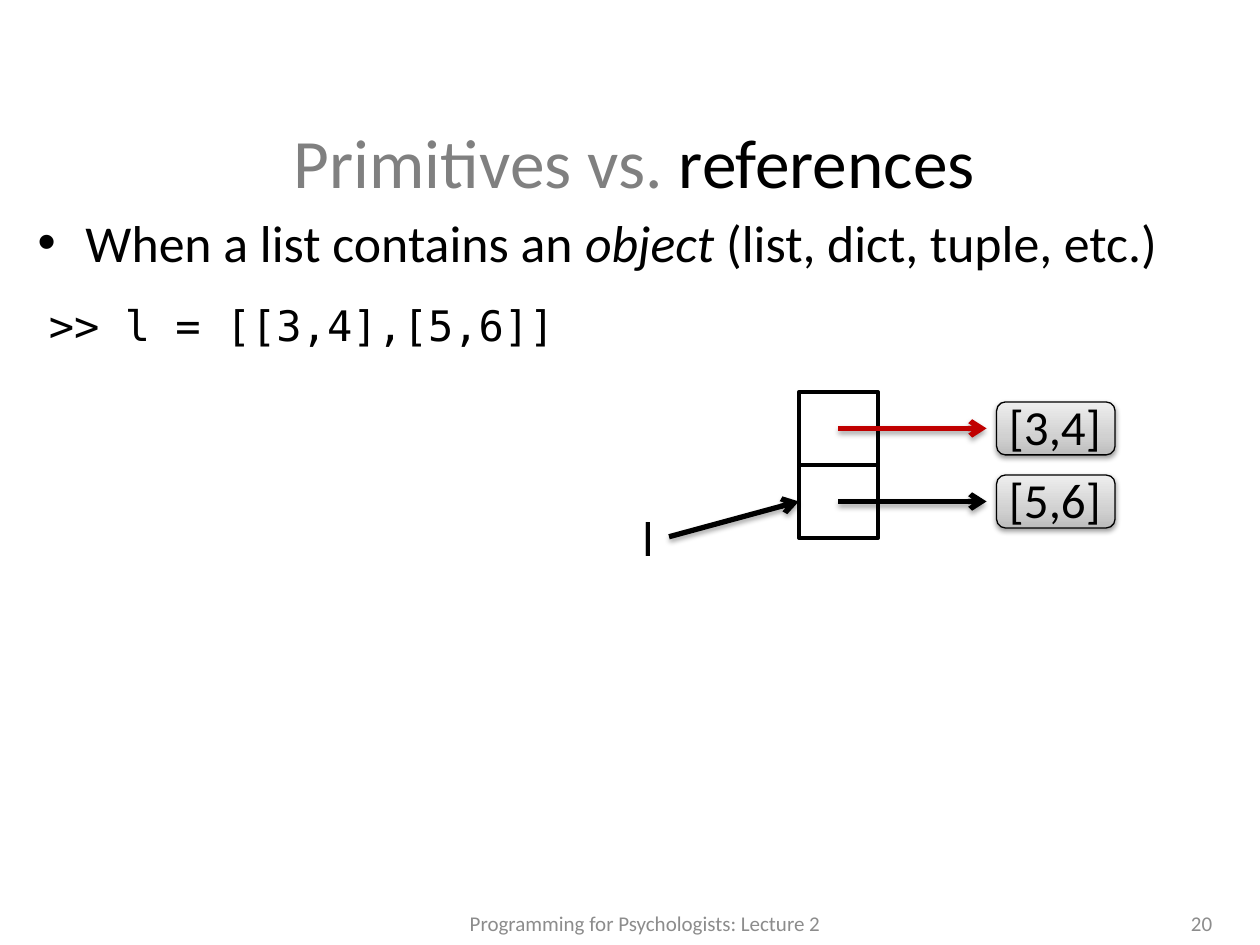
from copy import deepcopy

from lxml.etree import SubElement
from pptx import Presentation
from pptx.dml.color import RGBColor
from pptx.enum.shapes import MSO_CONNECTOR as Connector, MSO_SHAPE as Shape
from pptx.enum.text import MSO_ANCHOR as Anchor, MSO_AUTO_SIZE as AutoSize, PP_ALIGN as Align
from pptx.oxml.ns import qn
from pptx.util import Inches, Pt

COLORS = {
    "black": "000000", "white": "FFFFFF", "gray": "808080", "footer": "8C8C8C",
    "red": "C00000", "dark": "BDBDBD", "middle": "D1D1D1", "light": "EEEEEE",
}


def color(name):
    return RGBColor.from_string(COLORS[name])


class SlideBuilder:
    font = "Calibri"
    code_font = "DejaVu Sans Mono"

    def __init__(self, slide):
        self.slide = slide

    def place(self, shape, box):
        shape.left, shape.top, shape.width, shape.height = map(Inches, box)

    def add_runs(self, paragraph, parts, size, font=None):
        for text, color_name, italic in parts:
            run = paragraph.add_run()
            run.text = text
            run.font.name = font or self.font
            run.font.size = Pt(size)
            run.font.italic = italic
            run.font.color.rgb = color(color_name)

    def title(self, box, parts, size):
        title = self.slide.shapes.title
        self.place(title, box)
        frame = title.text_frame
        frame.auto_size = AutoSize.NONE
        frame.vertical_anchor = Anchor.MIDDLE
        frame.paragraphs[0].alignment = Align.CENTER
        self.add_runs(frame.paragraphs[0], parts, size)

    def text(self, box, parts, size, font=None, align=Align.LEFT, anchor=Anchor.TOP, space=0):
        frame = self.slide.shapes.add_textbox(*map(Inches, box)).text_frame
        frame.word_wrap = True
        frame.vertical_anchor = anchor
        paragraph = frame.paragraphs[0]
        paragraph.alignment = align
        paragraph.space_before = Pt(space)
        self.add_runs(paragraph, parts, size, font)
        return paragraph

    def bullet(self, box, parts, size, indent):
        paragraph = self.text(box, parts, size, space=size * 0.2)
        properties = paragraph._p.get_or_add_pPr()
        properties.set("marL", str(Inches(indent)))
        properties.set("indent", str(-Inches(indent)))
        SubElement(properties, qn("a:buFont"), typeface="Arial")
        SubElement(properties, qn("a:buChar"), char="•")

    def shadow(self, shape, distance, opacity):
        effects = SubElement(shape._element.spPr, qn("a:effectLst"))
        outer = SubElement(effects, qn("a:outerShdw"), blurRad=str(Pt(3.1)),
                           dist=str(Pt(distance)), dir="5400000", rotWithShape="0")
        shade = SubElement(outer, qn("a:srgbClr"), val=COLORS["black"])
        SubElement(shade, qn("a:alpha"), val=str(opacity * 1000))

    def value_box(self, box):
        shape = self.slide.shapes.add_shape(Shape.ROUNDED_RECTANGLE, *map(Inches, box))
        shape.fill.gradient()
        shape.fill.gradient_angle = 90
        first = shape._element.spPr.find(".//" + qn("a:gs"))
        first.addnext(deepcopy(first))
        stops = zip(shape.fill.gradient_stops, (0, 0.35, 1), ("dark", "middle", "light"))
        for stop, position, name in stops:
            stop.position = position
            stop.color.rgb = color(name)
        shape.line.color.rgb = color("black")
        shape.line.width = Pt(0.75)
        self.shadow(shape, 1.6, 38)

    def cells(self, left, top, width, height, count):
        group = self.slide.shapes.add_group_shape()
        cells = []
        for row in range(count):
            box = (left, top + row * height, width, height)
            cell = group.shapes.add_shape(Shape.RECTANGLE, *map(Inches, box))
            cell.shadow.inherit = False
            cell.fill.solid()
            cell.fill.fore_color.rgb = color("white")
            cell.line.color.rgb = color("black")
            cell.line.width = Pt(2)
            cells.append(cell)
        return cells

    def arrow(self, start, end, color_name="black", target=None):
        connector = self.slide.shapes.add_connector(
            Connector.STRAIGHT, *map(Inches, start + end))
        if target is not None:
            connector.end_connect(target, 1)
        connector.line.color.rgb = color(color_name)
        connector.line.width = Pt(3)
        line = connector._element.spPr.find(qn("a:ln"))
        SubElement(line, qn("a:tailEnd"), type="arrow")
        self.shadow(connector, 1.8, 35)


def main():
    presentation = Presentation()
    presentation.slide_width = Inches(10)
    presentation.slide_height = Inches(7.5)
    builder = SlideBuilder(presentation.slides.add_slide(presentation.slide_layouts[5]))

    cell_left, cell_top, cell_width, cell_height = 6.34, 3.11, 0.63, 0.58
    values = (("[3,4]", "red"), ("[5,6]", "black"))
    centers = [cell_top + (row + 0.5) * cell_height for row in range(len(values))]
    value_left = 7.91

    builder.title((0.35, 0.92, 9.37, 0.71),
                  [("Primitives vs. ", "gray", False), ("references", "black", False)], 39.6)
    builder.bullet((0.2, 1.62, 9.69, 0.63),
                   [("When a list contains an ", "black", False), ("object", "black", True),
                    (" (list, dict, tuple, etc.)", "black", False)], 29.6, 0.38)
    builder.text((0.29, 2.33, 4.63, 4.49), [(">> l = [[3,4],[5,6]]", "black", False)], 24,
                 builder.code_font, space=4.8)

    cells = builder.cells(cell_left, cell_top, cell_width, cell_height, len(values))
    builder.text((5, 3.98, 0.31, 0.57), [("l", "black", False)], 28)
    builder.arrow((5.31, 4.26), (cell_left, centers[-1]), target=cells[-1])
    for (value, arrow_color), center in zip(values, centers):
        builder.value_box((value_left, center - 0.21, 0.94, 0.42))
        builder.arrow((cell_left + cell_width / 2, center), (7.83, center), arrow_color)
        builder.text((value_left, center - 0.3, 1.1, 0.57), [(value, "black", False)], 28)

    builder.text((1.85, 7.21, 6.54, 0.24),
                 [("Programming for Psychologists: Lecture 2", "footer", False)], 12,
                 align=Align.CENTER, anchor=Anchor.MIDDLE)
    builder.text((8.46, 7.21, 1.26, 0.24), [("20", "footer", False)], 12,
                 align=Align.RIGHT, anchor=Anchor.MIDDLE)

    presentation.save("out.pptx")


if __name__ == "__main__":
    main()
